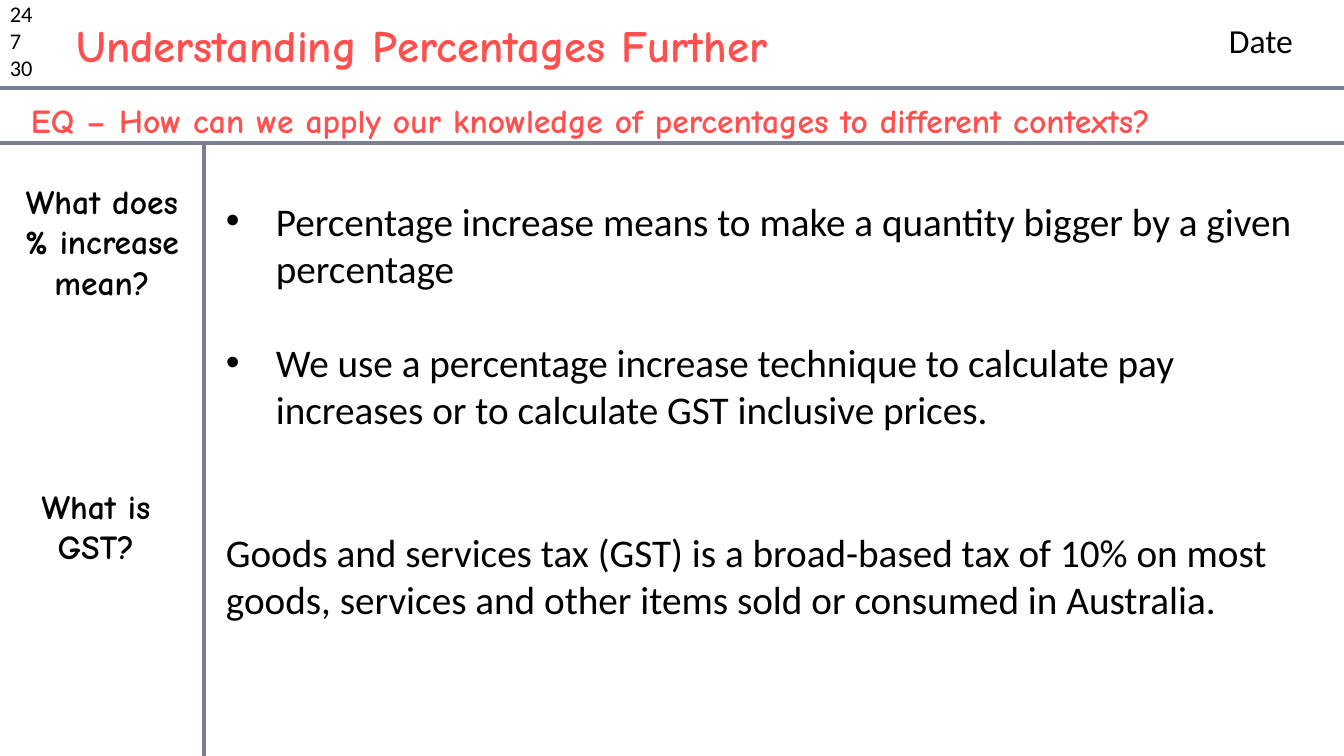
"""Builds a lesson slide on percentage increase and GST."""
from lxml.etree import SubElement
from pptx import Presentation
from pptx.dml.color import RGBColor
from pptx.enum.shapes import MSO_CONNECTOR as CONNECTOR
from pptx.enum.text import MSO_ANCHOR as ANCHOR, MSO_AUTO_SIZE as AUTO_SIZE, PP_ALIGN as ALIGN
from pptx.oxml.ns import qn
from pptx.util import Pt

WIDTH, HEIGHT = 1344, 756
HEADER_Y, QUESTION_Y, MARGIN_X = 88, 143, 204
INDENT = 50
BLACK, RED, GREY = "000000", "FF5050", "7C7F91"
PLAIN, HAND = "Calibri", "Comic Neue"

TITLE = ("Understanding Percentages Further", (66, 13, 716, 64))
QUESTION = ("EQ – How can we apply our knowledge of percentages to different contexts?",
            (21, 95, 1299, 50))
PAGE_NUMBERS = (["24", "7", "30"], (0, -5, 64, 92))
DATE = ("Date", (1219, 15, 102, 50))
PROMPTS = [
    ("What does % increase mean?", (0, 176, MARGIN_X, 132)),
    ("What is GST?", (-6, 481, MARGIN_X, 92)),
]
NOTES_BOX = (216, 192, 1105, 437)
NOTES = [  # text, bulleted, points before
    ("Percentage increase means to make a quantity bigger by a given percentage", True, 0),
    ("We use a percentage increase technique to calculate pay increases "
     "or to calculate GST inclusive prices.", True, 34),
    ("Goods and services tax (GST) is a broad-based tax of 10% on most goods, "
     "services and other items sold or consumed in Australia.", False, 68),
]
RULES = [
    (0, HEADER_Y, WIDTH, HEADER_Y),
    (0, QUESTION_Y, WIDTH, QUESTION_Y),
    (MARGIN_X, QUESTION_Y, MARGIN_X, HEIGHT),
]


def px(length):
    return round(length * 914400 / 100.8)


def rgb(color):
    return RGBColor.from_string(color)


def write(box, place, lines, size, font=PLAIN, color=BLACK, align=ALIGN.LEFT, wrap=True):
    box.left, box.top, box.width, box.height = map(px, place)
    frame = box.text_frame
    frame.text = "\n".join(lines)
    frame.word_wrap = wrap
    frame.auto_size = AUTO_SIZE.SHAPE_TO_FIT_TEXT
    frame.vertical_anchor = ANCHOR.TOP
    for paragraph in frame.paragraphs:
        paragraph.alignment = align
        paragraph.font.size = Pt(size)
        paragraph.font.name = font
        paragraph.font.bold = font == HAND
        paragraph.font.color.rgb = rgb(color)
    return frame.paragraphs


def add_bullet(paragraph):
    props = paragraph._p.get_or_add_pPr()
    props.set("marL", str(px(INDENT)))
    props.set("indent", str(-px(INDENT)))
    bullet_font = props.makeelement(qn("a:buFont"), {"typeface": "Arial"})
    bullet = props.makeelement(qn("a:buChar"), {"char": "•"})
    props.find(qn("a:defRPr")).addprevious(bullet_font)
    bullet_font.addnext(bullet)


def add_rule(slide, ends):
    rule = slide.shapes.add_connector(CONNECTOR.STRAIGHT, *map(px, ends))
    rule.line.color.rgb = rgb(GREY)
    rule.line.width = Pt(2.25)
    SubElement(rule._element.spPr, qn("a:effectLst"))


def main():
    deck = Presentation()
    deck.slide_width, deck.slide_height = px(WIDTH), px(HEIGHT)
    slide = deck.slides.add_slide(deck.slide_layouts[5])

    def new_box():
        return slide.shapes.add_textbox(0, 0, 0, 0)

    for ends in RULES:
        add_rule(slide, ends)

    title, title_place = TITLE
    write(slide.shapes.title, title_place, [title], 32, HAND, RED, wrap=False)
    question, question_place = QUESTION
    write(new_box(), question_place, [question], 24, HAND, RED)
    numbers, numbers_place = PAGE_NUMBERS
    write(new_box(), numbers_place, numbers, 16)
    date, date_place = DATE
    write(new_box(), date_place, [date], 24)
    for prompt, place in PROMPTS:
        write(new_box(), place, [prompt], 24, HAND, align=ALIGN.CENTER)

    paragraphs = write(new_box(), NOTES_BOX, [text for text, _, _ in NOTES], 28)
    for paragraph, (_, bulleted, before) in zip(paragraphs, NOTES):
        paragraph.space_before = Pt(before)
        if bulleted:
            add_bullet(paragraph)

    deck.save("out.pptx")


if __name__ == "__main__":
    main()
